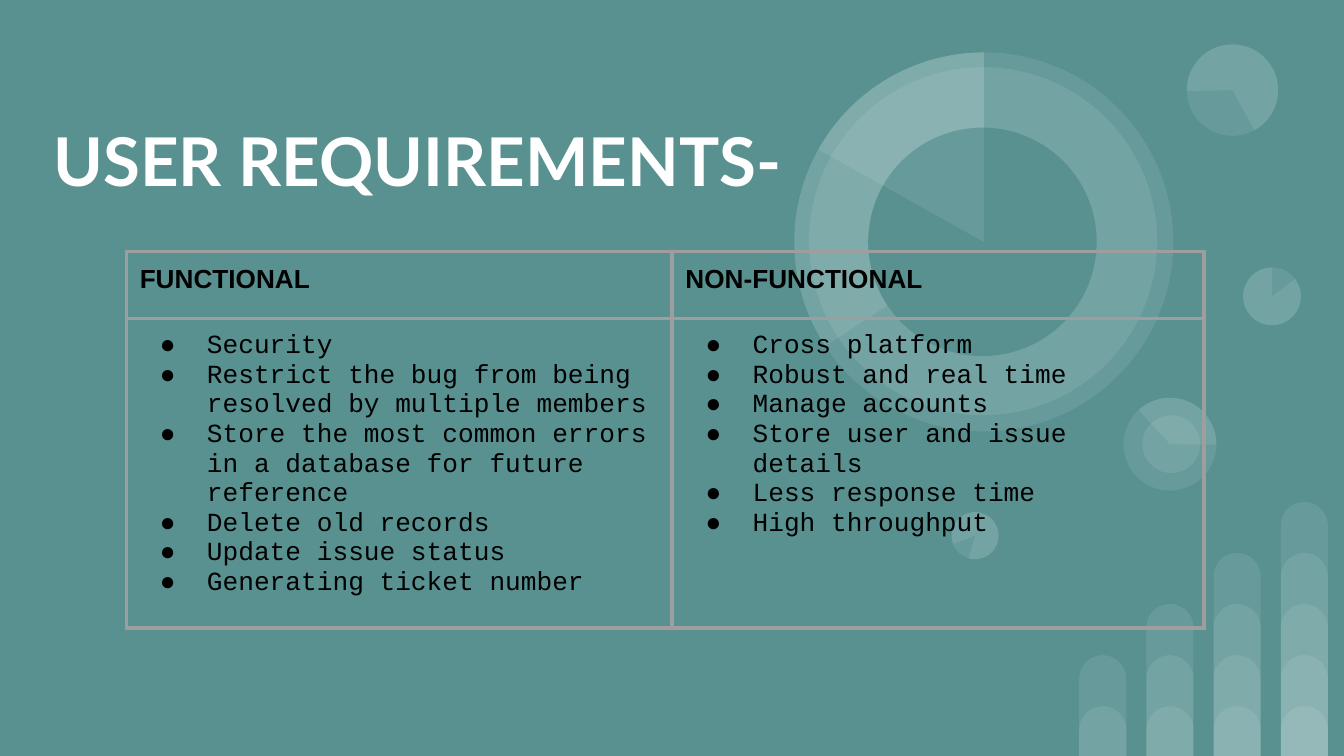
from lxml.etree import SubElement
from pptx import Presentation
from pptx.dml.color import RGBColor
from pptx.enum.shapes import MSO_SHAPE
from pptx.enum.text import MSO_ANCHOR
from pptx.oxml.ns import qn
from pptx.util import Inches, Pt

TEAL = RGBColor(0x59, 0x91, 0x91)
WHITE = RGBColor(0xFF, 0xFF, 0xFF)
BLACK = RGBColor(0x00, 0x00, 0x00)
GREY = RGBColor(0x9E, 0x9E, 0x9E)

deck = Presentation()
deck.slide_width = Inches(10)
deck.slide_height = deck.slide_width * 9 // 16
page = deck.slides.add_slide(deck.slide_layouts[6])
page.background.fill.solid()
page.background.fill.fore_color.rgb = TEAL

# Every length is counted in square grid cells, 100 to the slide's width.
CELL = deck.slide_width / 100
PAGE_ROWS = deck.slide_height / CELL


def grid(*counts):
    return [round(count * CELL) for count in counts]


def add_decoration(kind, left, top, width, height, color=WHITE):
    """Add a borderless shape; white ones are nearly transparent."""
    shape = page.shapes.add_shape(kind, *grid(left, top, width, height))
    shape.shadow.inherit = False
    shape.line.fill.background()
    shape.fill.solid()
    shape.fill.fore_color.rgb = color
    if color == WHITE:
        tint = shape.fill._xPr.find(".//" + qn("a:srgbClr"))
        SubElement(tint, qn("a:alpha"), val="9000")
    return shape


# Each column of bars has one more overlapping bar than the column before.
for column in range(4):
    for level in range(column + 2):
        height = 3.7 + 3.8 * level
        bar = add_decoration(MSO_SHAPE.ROUND_2_SAME_RECTANGLE,
                             80.3 + 5 * column, PAGE_ROWS - height, 3.5, height)
        bar.adjustments[0] = 0.5
        bar.adjustments[1] = 0

# left, top, diameter, rotation, wedge start and end in degrees (None: full disc)
DISCS = [
    (92.5, 19.9, 4.3, 0, None, WHITE),
    (92.5, 19.9, 4.3, 0, (322.95, 270), WHITE),
    (70.8, 38.1, 3.5, 196.2, None, WHITE),
    (70.8, 38.1, 3.5, 196.2, (322.95, 270), WHITE),
    (83.6, 29.6, 6.9, 90, None, WHITE),
    (83.6, 29.6, 6.9, 90, (137.41, 270.77), WHITE),
    (85, 30.9, 4.3, 90, None, WHITE),
    (88.3, 3.3, 6.8, 215.9, None, WHITE),
    (88.3, 3.3, 6.8, 215.9, (322.95, 205.23), WHITE),
    (59.1, 3.9, 28.2, 0, None, WHITE),
    (60.2, 5, 25.9, 34.1, None, WHITE),
    (59.1, 3.9, 28.2, 0, (146.69, 270), WHITE),
    (64.6, 9.5, 17, 34.1, None, TEAL),
    (59.1, 3.9, 28.2, 0, (209.24, 270), WHITE),
]
for left, top, size, rotation, wedge, color in DISCS:
    kind = MSO_SHAPE.PIE if wedge else MSO_SHAPE.OVAL
    disc = add_decoration(kind, left, top, size, size, color)
    disc.rotation = rotation
    for index, degrees in enumerate(wedge or ()):
        disc.adjustments[index] = degrees * 0.6  # 60000ths over 100000

title = page.shapes.add_textbox(*grid(3, 1.6, 75.5, 20.5))
frame = title.text_frame
frame.word_wrap = True
frame.vertical_anchor = MSO_ANCHOR.MIDDLE
frame.margin_left, frame.margin_top, frame.margin_right, frame.margin_bottom = grid(1, 1, 1, 1)
frame.text = "USER REQUIREMENTS-"
font = frame.paragraphs[0].runs[0].font
font.name, font.size, font.bold = "Lato", Pt(36), True
font.color.rgb = WHITE

REQUIREMENTS = {
    "FUNCTIONAL": [
        "Security",
        "Restrict the bug from being resolved by multiple members",
        "Store the most common errors in a database for future reference",
        "Delete old records",
        "Update issue status",
        "Generating ticket number",
    ],
    "NON-FUNCTIONAL": [
        "Cross platform",
        "Robust and real time",
        "Manage accounts",
        "Store user and issue details",
        "Less response time",
        "High throughput",
    ],
}
COLUMN_WIDTHS = grid(40.6, 39.6)
ROW_HEIGHTS = grid(5, 4.2)  # the second row grows with its text
table_frame = page.shapes.add_table(2, 2, *grid(9.4, 18.7, 80.2, 28))
table = table_frame.table
table.first_row = table.horz_banding = False
for index in range(2):
    table.columns[index].width = COLUMN_WIDTHS[index]
    table.rows[index].height = ROW_HEIGHTS[index]
table_frame.height = grid(28)[0]

for column, (heading, items) in enumerate(REQUIREMENTS.items()):
    for row, lines in enumerate(([heading], items)):
        box = table.cell(row, column)
        box.margin_left, box.margin_top, box.margin_right, box.margin_bottom = grid(1, 1, 1, 1)
        borders = box._tc.get_or_add_tcPr()
        for side in ("lnL", "lnR", "lnT", "lnB"):
            line = SubElement(borders, qn("a:" + side), w=str(Pt(2.25)))
            paint = SubElement(line, qn("a:solidFill"))
            SubElement(paint, qn("a:srgbClr"), val=str(GREY))
        box.fill.background()

        box.text_frame.text = "\n".join(lines)
        for para in box.text_frame.paragraphs:
            font = para.runs[0].font
            font.name = "Courier New" if row else "Arial"
            font.size, font.bold = Pt(14), row == 0
            font.color.rgb = BLACK
            if row:
                indent, hanging = grid(5, -3.5)
                layout = para._p.get_or_add_pPr()
                layout.set("marL", str(indent))
                layout.set("indent", str(hanging))
                bullet_color = SubElement(layout, qn("a:buClr"))
                SubElement(bullet_color, qn("a:srgbClr"), val=str(BLACK))
                SubElement(layout, qn("a:buSzPts"), val="1400")
                SubElement(layout, qn("a:buFont"), typeface="Courier New")
                SubElement(layout, qn("a:buChar"), char="●")

deck.save("out.pptx")
